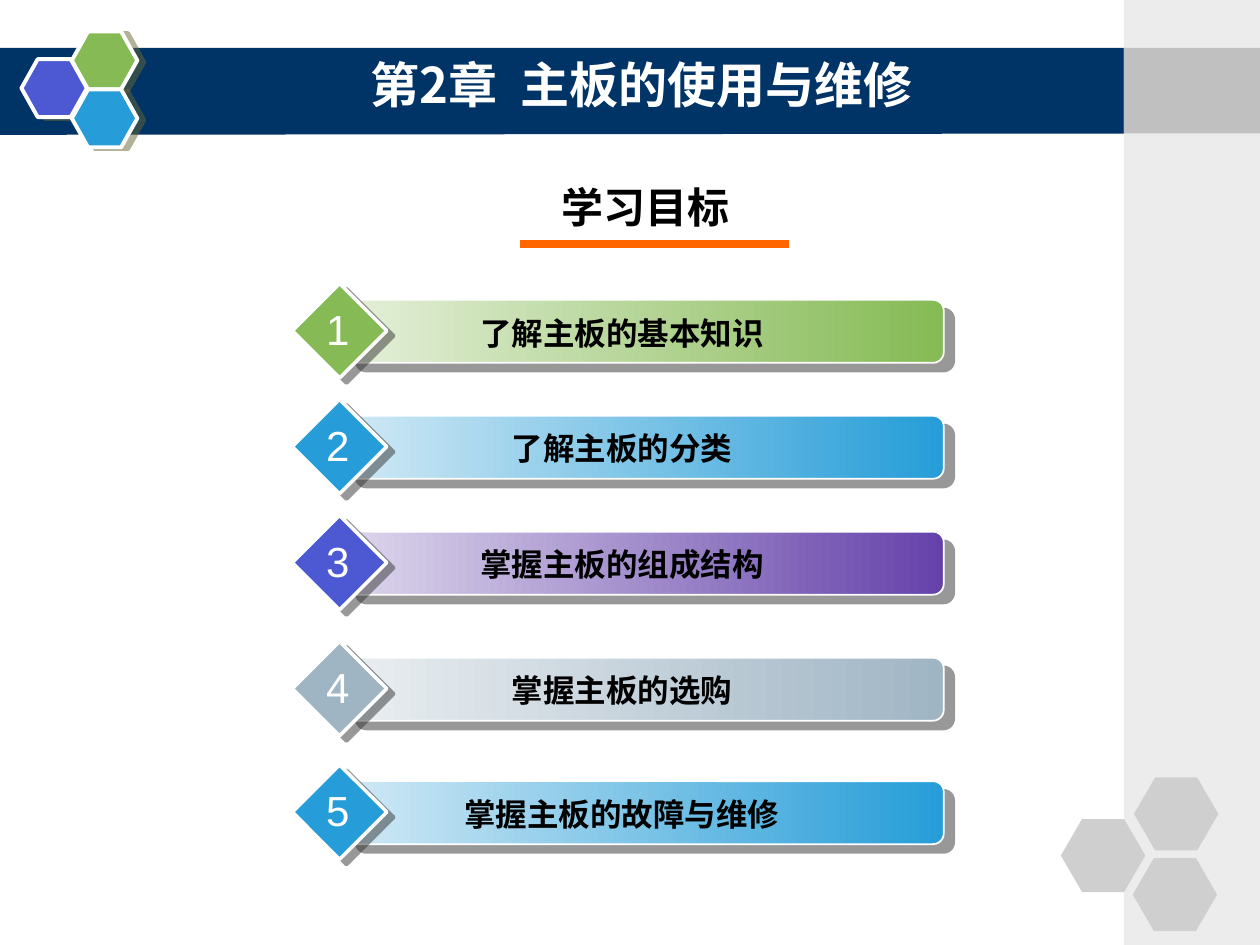
from lxml.etree import SubElement
from pptx import Presentation
from pptx.dml.color import RGBColor
from pptx.enum.shapes import MSO_CONNECTOR, MSO_SHAPE as SHAPE
from pptx.enum.text import MSO_ANCHOR, MSO_AUTO_SIZE as AUTO, PP_ALIGN
from pptx.oxml.ns import qn
from pptx.util import Inches, Pt

WHITE, BLACK = RGBColor(255, 255, 255), RGBColor(0, 0, 0)
NAVY, ORANGE = RGBColor(0x00, 0x33, 0x66), RGBColor(0xFF, 0x66, 0x00)
GREEN, PALE_GREEN = RGBColor(0x85, 0xBA, 0x54), RGBColor(0xE4, 0xEF, 0xD9)
BLUE, PALE_BLUE = RGBColor(0x26, 0x9D, 0xD8), RGBColor(0xD0, 0xE9, 0xF5)
PURPLE, PALE_PURPLE = RGBColor(0x65, 0x42, 0xAA), RGBColor(0xDD, 0xD6, 0xEC)
STEEL, PALE_STEEL = RGBColor(0xA0, 0xB5, 0xC4), RGBColor(0xE9, 0xEE, 0xF1)
INDIGO = RGBColor(0x4C, 0x59, 0xD2)
PANEL, PANEL_BAND = RGBColor(0xEC, 0xEC, 0xEC), RGBColor(0xC0, 0xC0, 0xC0)
HEX_GREY = RGBColor(0xCF, 0xCF, 0xCF)
OLIVE, CHARCOAL = RGBColor(0x66, 0x66, 0x33), RGBColor(0x33, 0x33, 0x33)
CJK = "Noto Sans CJK SC"

prs = Presentation()
prs.slide_width, prs.slide_height = Inches(10), Inches(7.5)
s = prs.slides.add_slide(prs.slide_layouts[5])

# Grid of 100 columns by 75 rows
COL, ROW = prs.slide_width / 100, prs.slide_height / 75


def add_shape(kind, x, y, w, h, fill, line=0, adj=None, shadow=None):
    """Place a shape on the grid; shadow is (colour, distance in pt, angle)."""
    sp = s.shapes.add_shape(kind, int(x * COL), int(y * ROW), int(w * COL), int(h * ROW))
    sp.shadow.inherit = False
    if isinstance(fill, tuple) and not isinstance(fill, RGBColor):
        sp.fill.gradient()
        sp.fill.gradient_angle = 180
        for stop, color in zip(sp.fill.gradient_stops, fill):
            stop.color.rgb = color
    else:
        sp.fill.solid()
        sp.fill.fore_color.rgb = fill
    if line:
        sp.line.color.rgb = WHITE
        sp.line.width = Pt(line)
    else:
        sp.line.fill.background()
    if adj is not None:
        sp.adjustments[0] = adj
    if shadow:
        color, dist, angle = shadow
        effects = sp._element.spPr.find(qn("a:effectLst"))
        outer = SubElement(effects, qn("a:outerShdw"), blurRad="0", dist=str(Pt(dist)),
                           dir=str(angle * 60000), algn="ctr", rotWithShape="0")
        clr = SubElement(outer, qn("a:srgbClr"), val=str(color))
        SubElement(clr, qn("a:alpha"), val="50000")


def add_text(sp, x, y, w, h, runs, size, color, font, bold=False, wrap=True):
    """Put centred text on the grid, in a new text box when sp is None."""
    box = int(x * COL), int(y * ROW), int(w * COL), int(h * ROW)
    sp = sp or s.shapes.add_textbox(*box)
    sp.left, sp.top, sp.width, sp.height = box
    tf = sp.text_frame
    tf.word_wrap = wrap
    tf.auto_size = AUTO.NONE if sp.is_placeholder else AUTO.SHAPE_TO_FIT_TEXT
    p = tf.paragraphs[0]
    p.alignment = PP_ALIGN.CENTER
    for text in runs:
        r = p.add_run()
        r.text = text
        r.font.size, r.font.bold, r.font.name = Pt(size), bold, font
        r.font.color.rgb = color
        SubElement(r._r.get_or_add_rPr(), qn("a:ea"), typeface=CJK)
    return sp


# Title band, its lower edge slightly slanted
band = s.shapes.build_freeform(int(-0.3 * COL), int(3.8 * ROW), scale=1.0)
band.add_line_segments([(int(x * COL), int(y * ROW)) for x, y in
                        [(89.4, 3.8), (89.3, 10.6), (-0.3, 10.7)]], close=True)
sp = band.convert_to_shape()
sp.shadow.inherit = False
sp.fill.solid()
sp.fill.fore_color.rgb = NAVY
sp.line.fill.background()

# Coloured hexagons on the band
for x, y, color in [(1.7, 4.7, INDIGO), (5.7, 2.5, GREEN), (5.7, 7.1, BLUE)]:
    add_shape(SHAPE.HEXAGON, x, y, 5.2, 4.6, color, 2.25, 0.28, (OLIVE, 4.1, 14))

# Side panel with grey hexagons
add_shape(SHAPE.RECTANGLE, 89.2, 0, 10.8, 75, PANEL)
add_shape(SHAPE.RECTANGLE, 89.2, 3.8, 10.8, 6.8, PANEL_BAND)
for x, y in [(84.2, 65), (90, 61.7), (89.9, 68.1)]:
    add_shape(SHAPE.HEXAGON, x, y, 6.7, 5.8, HEX_GREY, adj=0.29)

# Title, brought in front of the band; the space is widened by tracking
title = s.shapes.title
title._element.getparent().append(title._element)
add_text(title, 13.8, 3.6, 74.2, 6.2, ["第2章", " ", "主板的使用与维修"], 28, WHITE, CJK, True)
title.text_frame.vertical_anchor = MSO_ANCHOR.MIDDLE
title.text_frame.paragraphs[0].runs[1].font._element.set("spc", "700")

# Learning goals: bar, diamond, label and number in each row
goals = [
    (23.8, "了解主板的基本知识", GREEN, (GREEN, PALE_GREEN)),
    (33, "了解主板的分类", BLUE, (BLUE, PALE_BLUE)),
    (42.2, "掌握主板的组成结构", INDIGO, (PURPLE, PALE_PURPLE)),
    (52.2, "掌握主板的选购", STEEL, (STEEL, PALE_STEEL)),
    (62, "掌握主板的故障与维修", BLUE, (BLUE, PALE_BLUE)),
]
for number, (y, goal, color, gradient) in enumerate(goals, 1):
    add_shape(SHAPE.ROUNDED_RECTANGLE, 27.4, y, 47.5, 5, gradient, 1, 0.17, (CHARCOAL, 7.8, 40))
    add_shape(SHAPE.DIAMOND, 23.2, y - 1.3, 7.5, 7.5, color, 2, shadow=(CHARCOAL, 5, 37))
    label = add_text(None, 29.9, y + 0.6, 37.5, 4, [goal], 18, BLACK, "Arial", True)
    label.text_frame.margin_left = Inches(0.24)
    add_text(None, 24.9, y - 0.2, 3.8, 5, [str(number)], 24, WHITE, "Arial", wrap=False)

# Heading with its underline
add_text(None, 38.2, 13.9, 26, 5, ["学习目标"], 24, BLACK, CJK, True)
rule = s.shapes.add_connector(MSO_CONNECTOR.STRAIGHT, int(41.3 * COL), int(19.4 * ROW),
                              int(62.6 * COL), int(19.4 * ROW))
rule.line.color.rgb = ORANGE
rule.line.width = Pt(4.5)
SubElement(rule._element.spPr, qn("a:effectLst"))

prs.save("out.pptx")
